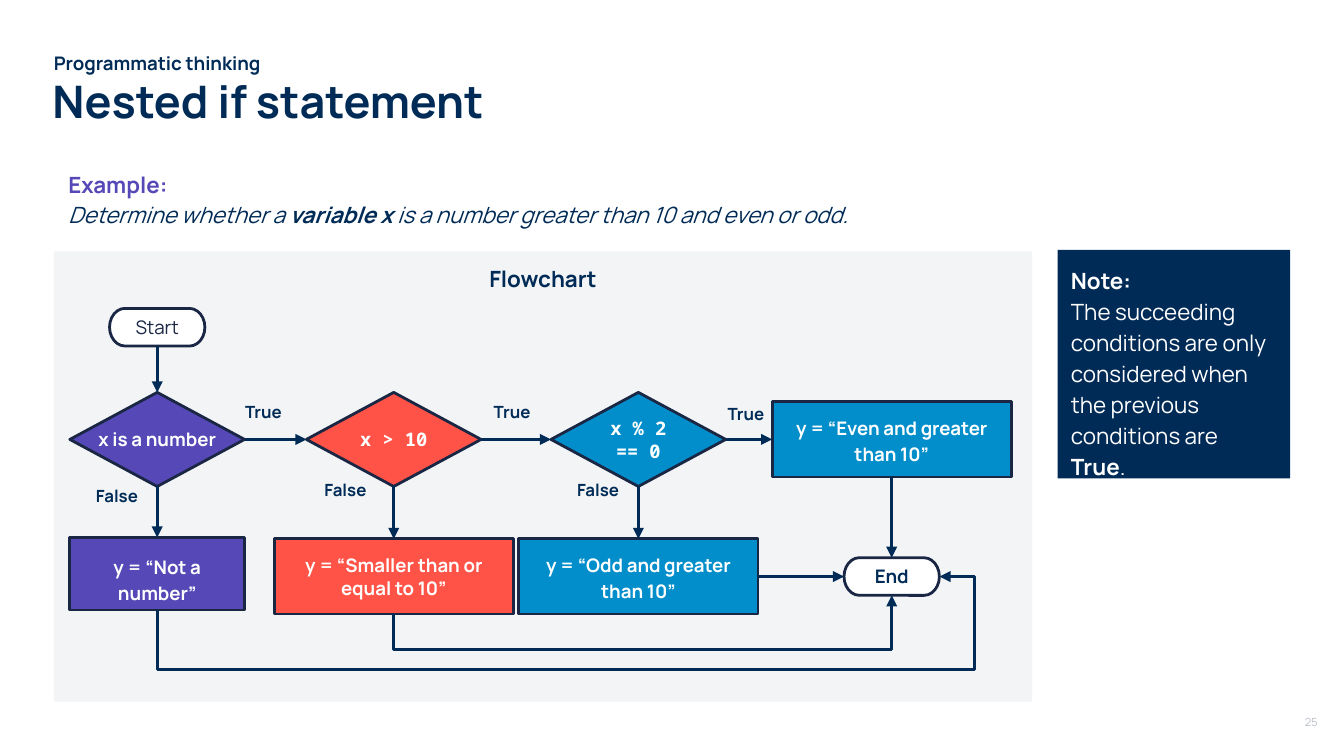
from dataclasses import dataclass, replace

from lxml import etree
from pptx import Presentation
from pptx.dml.color import RGBColor
from pptx.enum.shapes import MSO_CONNECTOR, MSO_SHAPE
from pptx.enum.text import MSO_ANCHOR, PP_ALIGN
from pptx.oxml.ns import qn
from pptx.util import Inches, Pt

RECT, DECISION = MSO_SHAPE.RECTANGLE, MSO_SHAPE.FLOWCHART_DECISION
TERMINATOR = MSO_SHAPE.FLOWCHART_TERMINATOR
STRAIGHT, ELBOW = MSO_CONNECTOR.STRAIGHT, MSO_CONNECTOR.ELBOW
TOP, MIDDLE = MSO_ANCHOR.TOP, MSO_ANCHOR.MIDDLE
LEFT, CENTER = PP_ALIGN.LEFT, PP_ALIGN.CENTER
SITE_TOP, SITE_LEFT, SITE_BOTTOM, SITE_RIGHT = range(4)

COLS, ROWS = 100, 56.25  # slide grid, 16:9
CELL = Inches(10) / COLS
PAD = 1  # usual text inset, in cells


@dataclass(frozen=True)
class Theme:
    navy: str = "002B56"
    outline: str = "1A2744"
    purple: str = "5648B7"
    red: str = "FF5347"
    blue: str = "028ECA"
    panel: str = "F3F4F6"
    white: str = "FFFFFF"
    gray: str = "BABEC7"
    font: str = "Manrope"
    mono: str = "Noto Sans Mono"
    title: int = 24
    body: int = 12
    node: int = 10
    label: int = 9
    page: int = 6
    line: float = 1.5


T = Theme()


@dataclass(frozen=True)
class Style:
    size: int
    color: str = T.navy
    bold: bool = True
    italic: bool = False
    font: str = T.font


@dataclass(frozen=True)
class Box:
    """Area in grid cells."""
    x: float
    y: float
    w: float
    h: float

    def sub(self, x, y, w, h):
        return Box(self.x + x, self.y + y, w, h)

    def around(self, cx, cy, w, h):
        return self.sub(cx - w / 2, cy - h / 2, w, h)

    def emu(self):
        return [round(v * CELL) for v in (self.x, self.y, self.w, self.h)]


def write(s, paras, align=LEFT, anchor=TOP, spacing=1.0, pads=(PAD,) * 4, wrap=True):
    """Fill a shape with paragraphs, each a list of (text, style) runs."""
    tf = s.text_frame
    tf.word_wrap, tf.vertical_anchor = wrap, anchor
    tf.margin_left, tf.margin_top, tf.margin_right, tf.margin_bottom = (
        round(v * CELL) for v in pads)
    for i, runs in enumerate(paras):
        p = tf.add_paragraph() if i else tf.paragraphs[0]
        p.alignment, p.line_spacing = align, spacing
        for text, style in runs:
            r = p.add_run()
            r.text = text.rstrip("\n")
            r.font.name, r.font.size = style.font, Pt(style.size)
            r.font.bold, r.font.italic = style.bold, style.italic
            r.font.color.rgb = RGBColor.from_string(style.color)
            if text.endswith("\n"):
                p.add_line_break()


def add_text(shapes, box, paras, **layout):
    write(shapes.add_textbox(*box.emu()), paras, **layout)


def add_block(shapes, kind, box, fill, outlined=True):
    s = shapes.add_shape(kind, *box.emu())
    s.shadow.inherit = False
    s.fill.solid()
    s.fill.fore_color.rgb = RGBColor.from_string(fill)
    if outlined:
        s.line.color.rgb = RGBColor.from_string(T.outline)
        s.line.width = Pt(T.line)
    else:
        s.line.fill.background()
    return s


def add_node(shapes, kind, box, fill, lines, style, spacing=1.0, drop=0):
    """Draw a flowchart node; drop lowers its text by half that many cells."""
    s = add_block(shapes, kind, box, fill)
    side = 0 if kind == DECISION else PAD
    write(s, [[(line, style)] for line in lines], align=CENTER, anchor=MIDDLE,
          spacing=spacing, pads=(side, drop, side, 0), wrap=kind != DECISION)
    return s


def style_arrow(c):
    c.line.color.rgb = RGBColor.from_string(T.navy)
    c.line.width = Pt(T.line)
    etree.SubElement(c.line._get_or_add_ln(), qn("a:tailEnd"), type="triangle")
    etree.SubElement(c._element.spPr, qn("a:effectLst"))


def add_arrow(shapes, start, start_site, end, end_site):
    c = shapes.add_connector(STRAIGHT, 0, 0, 0, 0)
    c.begin_connect(start, start_site)
    c.end_connect(end, end_site)
    style_arrow(c)


def add_return(shapes, start, end, rail_y, rail_x=None):
    """Route from the bottom of start along a rail below, then up to end."""
    x1, y1 = start.left + start.width / 2, start.top + start.height
    if rail_x is None:
        x2, y2 = end.left + end.width / 2, end.top + end.height
    else:
        x2, y2 = end.left + end.width, end.top + end.height / 2
    adjusts = [(rail_y * CELL - y1) / (y2 - y1)]
    if rail_x is not None:
        adjusts.append((rail_x * CELL - x1) / (x2 - x1))
    # The connector is laid out sideways and turned by 270 degrees
    cx, cy, w, h = (x1 + x2) / 2, (y1 + y2) / 2, y1 - y2, x2 - x1
    c = shapes.add_connector(ELBOW, *(round(v) for v in (
        cx - w / 2, cy - h / 2, cx + w / 2, cy + h / 2)))
    sp = c._element.spPr
    sp.find(qn("a:xfrm")).set("rot", "16200000")
    geom = sp.find(qn("a:prstGeom"))
    geom.set("prst", f"bentConnector{2 + len(adjusts)}")
    guides = geom.find(qn("a:avLst"))
    for i, value in enumerate(adjusts, 1):
        etree.SubElement(guides, qn("a:gd"), name=f"adj{i}",
                         fmla=f"val {round(value * 100000)}")
    style_arrow(c)


def build_header(shapes, box):
    add_text(shapes, box.sub(0.1, 0, 92.1, 1.6),
             [[("Programmatic thinking", Style(T.node))]],
             anchor=MIDDLE, pads=(0, PAD, PAD, PAD))
    add_text(shapes, box.sub(0, 1.6, 92.1, 3.9),
             [[("Nested if statement", Style(T.title))]], pads=(0,) * 4)


def build_example(shapes, box):
    plain = Style(T.body, bold=False, italic=True)
    add_text(shapes, box, [[
        ("Example:\n", Style(T.body, T.purple)),
        ("Determine whether a ", plain), ("variable x", replace(plain, bold=True)),
        (" is a number greater than 10 and even or odd.", plain),
    ]], spacing=1.15)


def build_flowchart(shapes, box):
    add_block(shapes, RECT, box, T.panel, outlined=False)
    add_text(shapes, box.sub(22, 0, 28.8, 4),
             [[("Flowchart", Style(T.body))]], align=CENTER)

    # Centre lines of the columns and rows
    col1, col2, col3, col4 = 7.7, 25.3, 43.5, 62.35
    start_y, test_y, result_y = 5.65, 14, 24.2
    bold, code = Style(T.node, T.white), Style(T.node, T.white, font=T.mono)

    # Terminators
    start = add_node(shapes, TERMINATOR, box.around(col1, start_y, 7.1, 2.8), T.white,
                     ["Start"], Style(T.node, T.outline, bold=False))
    end = add_node(shapes, TERMINATOR, box.around(col4, result_y, 7.1, 2.8), T.white,
                   ["End"], Style(T.node))

    # Conditions
    tests = [add_node(shapes, DECISION, box.around(x, test_y, 13, 7), fill, lines, style)
             for x, fill, lines, style in (
                 (col1, T.purple, ["x is a number"], bold),
                 (col2, T.red, ["x > 10"], code),
                 (col3, T.blue, ["x % 2", "== 0"], code))]

    # Results
    not_number, smaller, odd, even = [
        add_node(shapes, RECT, box.around(x, y, w, h), fill, [text], bold, spacing, drop)
        for x, y, w, h, fill, text, spacing, drop in (
            (col1, 24, 13, 5.4, T.purple, "y = “Not a number”", 1.15, 0.7),
            (col2, result_y, 17.8, 5.6, T.red, "y = “Smaller than or equal to 10”", 1.0, 0),
            (col3, result_y, 17.8, 5.6, T.blue, "y = “Odd and greater than 10”", 1.15, 0),
            (col4, test_y, 17.8, 5.6, T.blue, "y = “Even and greater than 10”", 1.15, 0))]

    # Arrows
    add_arrow(shapes, start, SITE_BOTTOM, tests[0], SITE_TOP)
    for test, on_true, on_false in zip(tests, tests[1:] + [even],
                                       (not_number, smaller, odd)):
        add_arrow(shapes, test, SITE_RIGHT, on_true, SITE_LEFT)
        add_arrow(shapes, test, SITE_BOTTOM, on_false, SITE_TOP)
    add_arrow(shapes, even, SITE_BOTTOM, end, SITE_TOP)
    add_arrow(shapes, odd, SITE_RIGHT, end, SITE_LEFT)
    add_return(shapes, smaller, end, box.y + 29.6)
    add_return(shapes, not_number, end, box.y + 31.1, box.x + 68.5)

    # Branch labels
    for text, x, y in (("True", 12.7, 10.4), ("True", 31.2, 10.4), ("True", 48.6, 10.6),
                       ("False", 1.8, 16.7), ("False", 18.8, 16.2), ("False", 37.6, 16.2)):
        add_text(shapes, box.sub(x, y, 5.8, 3.5), [[(text, Style(T.label))]], align=CENTER)


def build_note(shapes, box):
    bold = Style(T.body, T.white)
    plain = replace(bold, bold=False)
    write(add_block(shapes, RECT, box, T.navy, outlined=False), [
        [("Note:", bold)],
        [("The succeeding conditions are only considered when the previous "
          "conditions are ", plain), ("True", bold), (".", plain)],
    ], spacing=1.15)


def build_page_number(shapes, box):
    add_text(shapes, box, [[("25", Style(T.page, T.gray, bold=False))]],
             pads=(PAD, PAD, PAD, 0))


def main():
    prs = Presentation()
    prs.slide_width, prs.slide_height = round(COLS * CELL), round(ROWS * CELL)
    shapes = prs.slides.add_slide(prs.slide_layouts[6]).shapes
    build_header(shapes, Box(3.9, 3.9, 92.1, 5.5))
    build_example(shapes, Box(4.1, 11.4, 92, 6.4))
    build_flowchart(shapes, Box(4, 18.7, 72.8, 33.5))
    build_note(shapes, Box(78.7, 18.6, 17.3, 17))
    build_page_number(shapes, Box(96.1, 52.2, 3.9, 2.8))
    prs.save("out.pptx")


if __name__ == "__main__":
    main()
